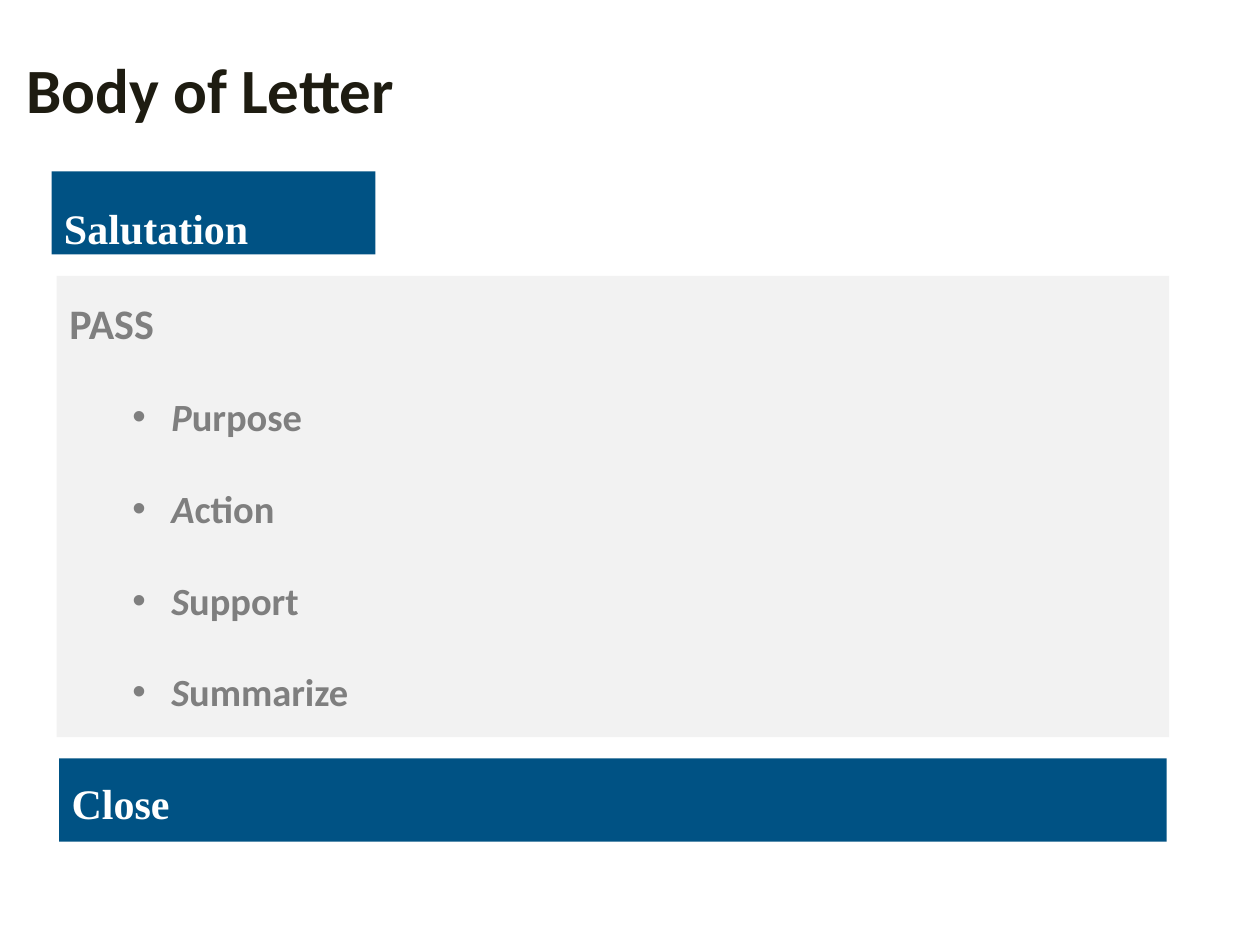
from lxml import etree
from pptx import Presentation
from pptx import util as u
from pptx.dml.color import RGBColor
from pptx.enum import shapes, text
from pptx.oxml.ns import qn

TITLE = {"name": "Calibri", "size": u.Pt(36), "bold": True}
HEADING = {"name": "Calibri", "size": u.Pt(24), "bold": True}
ITEM = {"name": "Calibri", "size": u.Pt(22), "bold": True}
BANNER = {"name": "Times New Roman", "size": u.Pt(24), "bold": True}
INITIAL = {**ITEM, "italic": True}
GREY = "7F7F7F"


def set_fill(target, color):
    """Give a shape or font a solid colour from a hex string."""
    target.fill.solid()
    target.fill.fore_color.rgb = RGBColor.from_string(color)


def add_run(paragraph, words, style, color):
    """Add a run with the given font values."""
    run = paragraph.add_run()
    run.text = words
    for name, value in style.items():
        setattr(run.font, name, value)
    set_fill(run.font, color)


def place(shape, left, top, width, height):
    """Move and size a shape, in inches."""
    box = {"left": left, "top": top, "width": width, "height": height}
    for name, value in box.items():
        setattr(shape, name, u.Inches(value))


def format_frame(frame, anchor, **margins):
    """Set wrapping, anchor and margins of a text frame."""
    values = {"word_wrap": True, "auto_size": text.MSO_AUTO_SIZE.NONE,
              "vertical_anchor": anchor}
    values.update({f"margin_{side}": u.Inches(gap) for side, gap in margins.items()})
    for name, value in values.items():
        setattr(frame, name, value)


def format_paragraph(paragraph, before=0, margin=0, indent=0, bullet=None):
    """Left-align a paragraph and set its spacing, indent and bullet."""
    paragraph.alignment = text.PP_ALIGN.LEFT
    paragraph.space_before = u.Pt(before)
    properties = paragraph._p.get_or_add_pPr()
    properties.set("marL", str(u.Inches(margin)))
    properties.set("indent", str(u.Inches(indent)))
    if bullet:
        etree.SubElement(properties, qn("a:buChar"), char=bullet)
    else:
        etree.SubElement(properties, qn("a:buNone"))


def fill_title(title, words):
    """Place and write the slide title."""
    place(title, 0.11, 0.33, 8.5, 0.65)
    format_frame(title.text_frame, text.MSO_ANCHOR.TOP, top=0.07)
    paragraph = title.text_frame.paragraphs[0]
    format_paragraph(paragraph)
    add_run(paragraph, words, TITLE, "1E1C11")


def fill_body(body, heading, items):
    """Write a heading and bullets whose initials are italic."""
    place(body, 0.45, 2.19, 8.83, 3.66)
    set_fill(body, "F2F2F2")
    frame = body.text_frame
    format_frame(frame, text.MSO_ANCHOR.TOP, top=0.17)
    format_paragraph(frame.paragraphs[0])
    add_run(frame.paragraphs[0], heading, HEADING, GREY)
    for item in items:
        paragraph = frame.add_paragraph()
        paragraph.level = 1
        format_paragraph(paragraph, 26, 0.81, -0.31, "•")
        add_run(paragraph, item[0], INITIAL, GREY)
        add_run(paragraph, item[1:], ITEM, GREY)


def add_banner(slide, words, box, anchor):
    """Add a blue bar with a white label."""
    banner = slide.shapes.add_shape(
        shapes.MSO_SHAPE.RECTANGLE, *(u.Inches(value) for value in box))
    banner.shadow.inherit = False
    set_fill(banner, "005284")
    banner.line.fill.background()
    format_frame(banner.text_frame, anchor, bottom=0.01)
    paragraph = banner.text_frame.paragraphs[0]
    format_paragraph(paragraph)
    add_run(paragraph, words, BANNER, "FFFFFF")


def main():
    """Build and save the slide."""
    presentation = Presentation()
    presentation.slide_width = u.Inches(10)
    presentation.slide_height = u.Inches(7.5)
    slide = presentation.slides.add_slide(presentation.slide_layouts[1])
    fill_title(slide.shapes.title, "Body of Letter")
    fill_body(slide.placeholders[1], "PASS",
              ["Purpose", "Action", "Support", "Summarize"])
    add_banner(slide, "Salutation", (0.41, 1.36, 2.57, 0.66), text.MSO_ANCHOR.BOTTOM)
    add_banner(slide, "Close", (0.47, 6.02, 8.79, 0.66), text.MSO_ANCHOR.MIDDLE)
    presentation.save("out.pptx")


if __name__ == "__main__":
    main()
